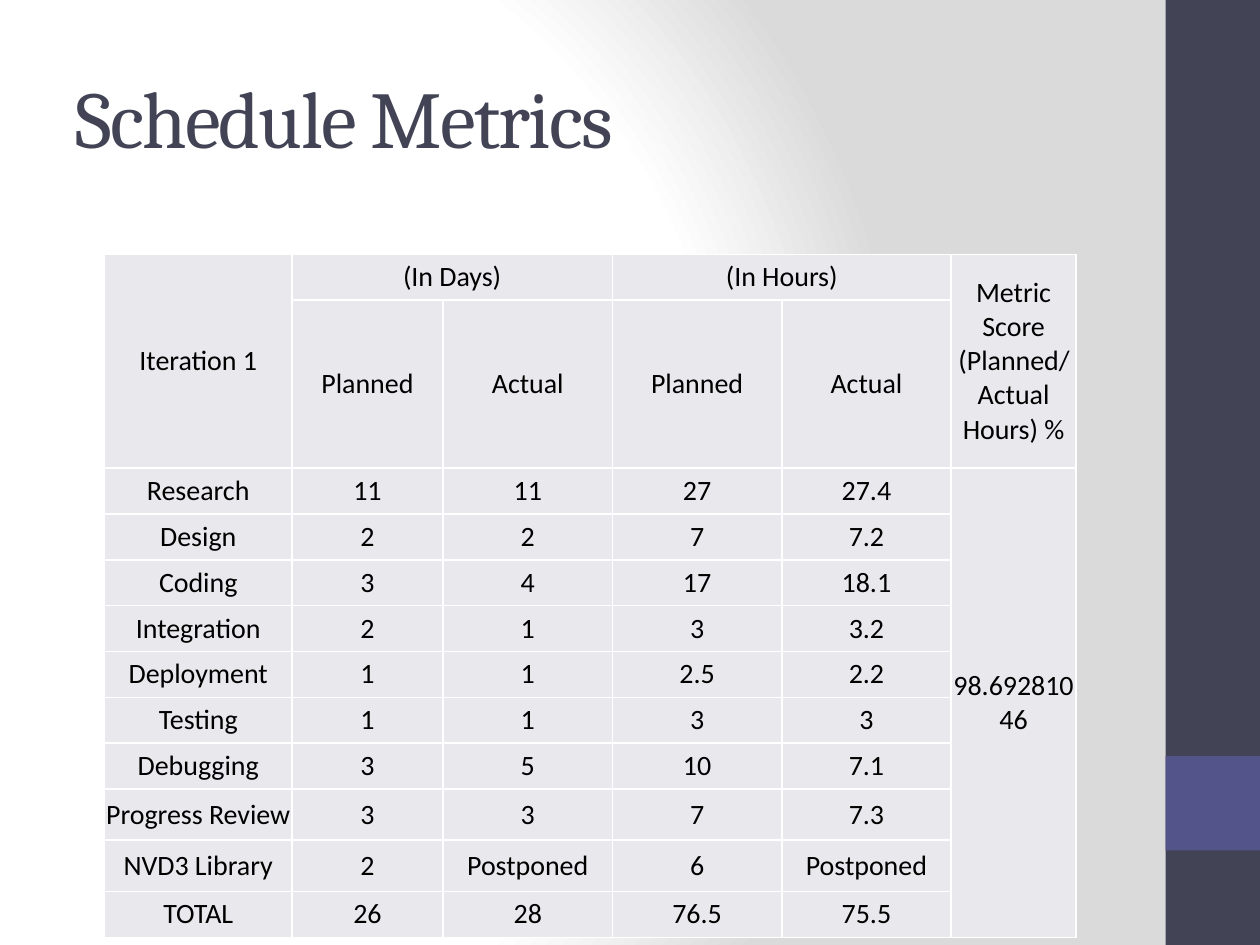
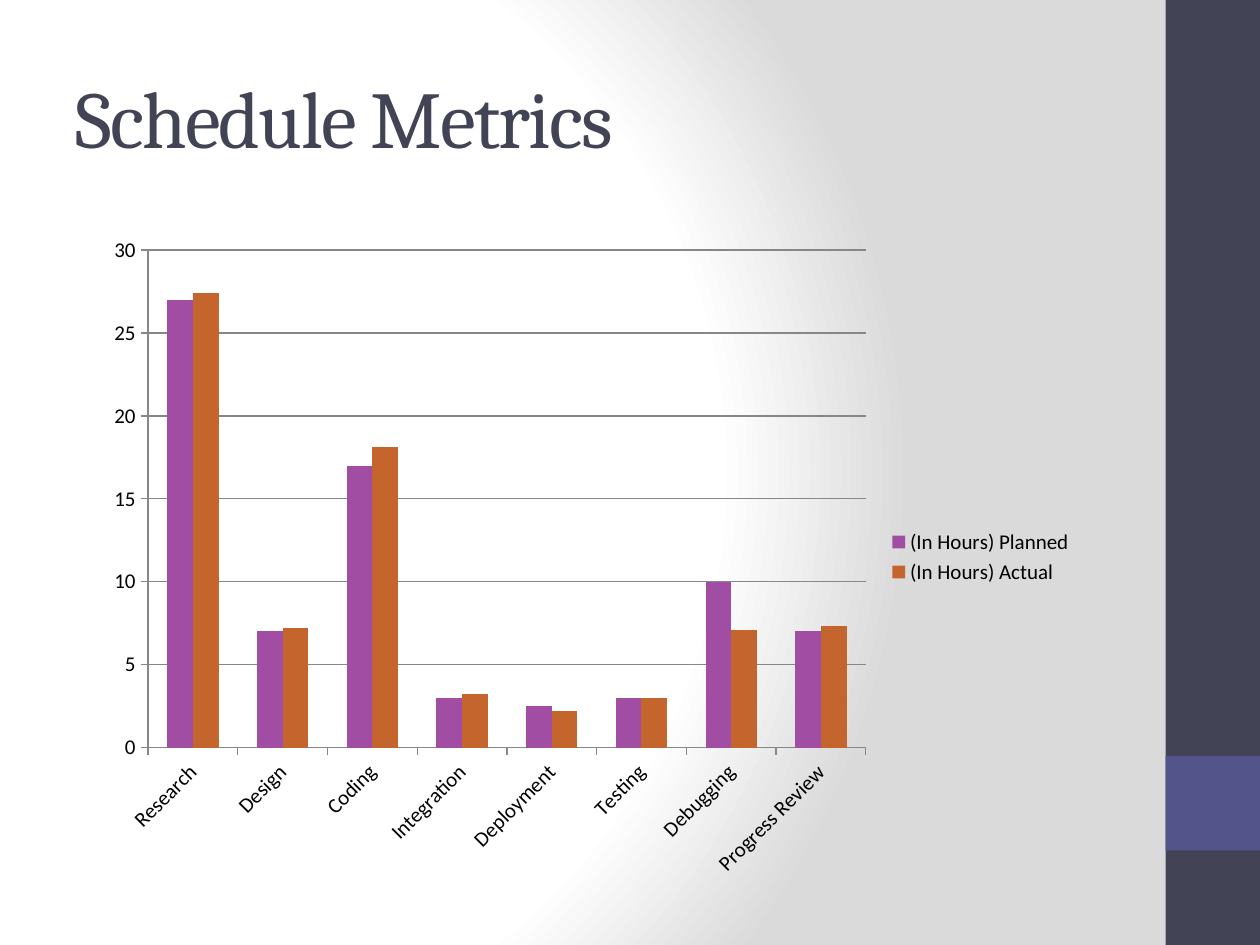
from dataclasses import dataclass

from lxml import etree
from pptx import Presentation
from pptx.chart import data as chart_data
from pptx.dml.color import RGBColor
from pptx.enum import chart as chart_enum, shapes, text
from pptx.oxml import ns
from pptx.util import Pt

COLOURS = {
    "band": "424456", "accent": "53548A", "cell": "E9E9ED", "text": "000000",
    "white": "FFFFFF", "grey": "DADADA", "axis": "878787",
    "planned": "A04DA3", "actual": "C4652D",
}
HEADING_FONT, BODY_FONT = "Cambria", "Calibri"
BACKGROUND_STOPS = ((0, "white"), (75, "white"), (100, "grey"))
FOCUS = {"l": 20, "t": 50, "r": 100, "b": 50}


@dataclass(frozen=True)
class Band:
    top: float
    height: float
    colour: str


@dataclass(frozen=True)
class Task:
    name: str
    planned_days: str
    actual_days: str
    planned_hours: str
    actual_hours: str


@dataclass(frozen=True)
class HeaderCell:
    row: int
    column: int
    label: str
    last_row: int
    last_column: int


BANDS = (Band(0, 540, "band"), Band(432, 54, "accent"))
TASKS = (
    Task("Research", "11", "11", "27", "27.4"),
    Task("Design", "2", "2", "7", "7.2"),
    Task("Coding", "3", "4", "17", "18.1"),
    Task("Integration", "2", "1", "3", "3.2"),
    Task("Deployment", "1", "1", "2.5", "2.2"),
    Task("Testing", "1", "1", "3", "3"),
    Task("Debugging", "3", "5", "10", "7.1"),
    Task("Progress Review", "3", "3", "7", "7.3"),
)
CLOSING_ROWS = (
    Task("NVD3 Library", "2", "Postponed", "6", "Postponed"),
    Task("TOTAL", "26", "28", "76.5", "75.5"),
)
MERGED_CELLS = (
    HeaderCell(0, 0, "Iteration 1", 1, 0),
    HeaderCell(0, 1, "(In Days)", 0, 2),
    HeaderCell(0, 3, "(In Hours)", 0, 4),
    HeaderCell(0, 5, "Metric Score (Planned/Actual Hours) %", 1, 5),
    HeaderCell(2, 5, "98.69281046", 11, 5),
)
COLUMN_WIDTHS = (107, 86.4, 96.8, 96.8, 96.8, 71.4)
ROW_HEIGHTS = (26.2, 68.4, *[26.2] * len(TASKS), 29.3, 29.3, 26.2)[:9] + (29.3, 29.3, 26.2)


def rgb(name: str) -> RGBColor:
    return RGBColor.from_string(COLOURS[name])


def add_fill(parent, name: str) -> None:
    fill = etree.SubElement(parent, ns.qn("a:solidFill"))
    etree.SubElement(fill, ns.qn("a:srgbClr"), val=COLOURS[name])


def add_span(para, words: str, font_name: str, size: float, colour: str):
    span = para.add_run()
    span.text = words
    span.font.name = font_name
    span.font.size = Pt(size)
    span.font.color.rgb = rgb(colour)
    return span


def paint_background(page) -> None:
    fill = page.background.fill
    fill.gradient()
    gradient = page.background._cSld.find(".//" + ns.qn("a:gradFill"))
    for child in list(gradient):
        gradient.remove(child)
    stops = etree.SubElement(gradient, ns.qn("a:gsLst"))
    for position, name in BACKGROUND_STOPS:
        stop = etree.SubElement(stops, ns.qn("a:gs"), pos=str(position * 1000))
        etree.SubElement(stop, ns.qn("a:srgbClr"), val=COLOURS[name])
    circle = etree.SubElement(gradient, ns.qn("a:path"), path="circle")
    edges = {side: str(share * 1000) for side, share in FOCUS.items()}
    etree.SubElement(circle, ns.qn("a:fillToRect"), **edges)


def add_band(page, band: Band) -> None:
    box = page.shapes.add_shape(
        shapes.MSO_SHAPE.RECTANGLE, Pt(666), Pt(band.top), Pt(54), Pt(band.height))
    box.shadow.inherit = False
    box.fill.solid()
    box.fill.fore_color.rgb = rgb(band.colour)
    box.line.fill.background()


def add_title(page, words: str) -> None:
    box = page.shapes.add_textbox(Pt(36), Pt(21.6), Pt(600), Pt(90))
    frame = box.text_frame
    frame.word_wrap = True
    frame.vertical_anchor = text.MSO_ANCHOR.MIDDLE
    span = add_span(frame.paragraphs[0], words, HEADING_FONT, 46, "band")
    span.font._element.set("spc", "-100")


def add_page(deck, title: str):
    page = deck.slides.add_slide(deck.slide_layouts[6])
    paint_background(page)
    for band in BANDS:
        add_band(page, band)
    add_title(page, title)
    return page


def style_cell(cell) -> None:
    cell.margin_left = cell.margin_right = cell.margin_top = cell.margin_bottom = 0
    cell.vertical_anchor = text.MSO_ANCHOR.MIDDLE
    properties = cell._tc.get_or_add_tcPr()
    for side in ("L", "R", "T", "B"):
        border = etree.SubElement(properties, ns.qn(f"a:ln{side}"), w=str(Pt(1)))
        add_fill(border, "white")
    add_fill(properties, "cell")


def write_cell(cell, words: str) -> None:
    para = cell.text_frame.paragraphs[0]
    para.alignment = text.PP_ALIGN.CENTER
    add_span(para, words, BODY_FONT, 16, "text")


def add_schedule_table(page) -> None:
    frame = page.shapes.add_table(
        len(ROW_HEIGHTS), len(COLUMN_WIDTHS), Pt(59.8), Pt(145.3),
        Pt(sum(COLUMN_WIDTHS)), Pt(sum(ROW_HEIGHTS)))
    table = frame.table
    table.first_row = False
    table.horz_banding = False
    for column, width in zip(table.columns, COLUMN_WIDTHS):
        column.width = Pt(width)
    for row, height in zip(table.rows, ROW_HEIGHTS):
        row.height = Pt(height)
    for cell in table.iter_cells():
        style_cell(cell)
    for header in MERGED_CELLS:
        cell = table.cell(header.row, header.column)
        cell.merge(table.cell(header.last_row, header.last_column))
        write_cell(cell, header.label)
    for column, label in enumerate(("Planned", "Actual") * 2, start=1):
        write_cell(table.cell(1, column), label)
    for row, task in enumerate(TASKS + CLOSING_ROWS, start=2):
        values = (task.name, task.planned_days, task.actual_days,
                  task.planned_hours, task.actual_hours)
        for column, value in enumerate(values):
            write_cell(table.cell(row, column), value)


def style_axis(axis) -> None:
    axis.major_tick_mark = chart_enum.XL_TICK_MARK.OUTSIDE
    axis.minor_tick_mark = chart_enum.XL_TICK_MARK.NONE
    axis.format.line.color.rgb = rgb("axis")
    axis.format.line.width = Pt(0.75)
    axis.tick_labels.font.size = Pt(12)


def add_hours_chart(page) -> None:
    hours = chart_data.CategoryChartData()
    hours.categories = [task.name for task in TASKS]
    hours.add_series("(In Hours) Planned", [float(task.planned_hours) for task in TASKS])
    hours.add_series("(In Hours) Actual", [float(task.actual_hours) for task in TASKS])
    chart = page.shapes.add_chart(
        chart_enum.XL_CHART_TYPE.COLUMN_CLUSTERED,
        Pt(54), Pt(128.2), Pt(566.6), Pt(380.2), hours).chart
    chart.has_title = False
    chart.font.name = BODY_FONT
    chart.font.size = Pt(12)
    chart.font.color.rgb = rgb("text")
    chart.has_legend = True
    chart.legend.position = chart_enum.XL_LEGEND_POSITION.RIGHT
    chart.legend.include_in_layout = False
    for axis in (chart.category_axis, chart.value_axis):
        style_axis(axis)
    labels = chart.category_axis._element.find(".//" + ns.qn("a:bodyPr"))
    labels.set("rot", "-2700000")
    value_axis = chart.value_axis
    value_axis.minimum_scale, value_axis.maximum_scale = 0, 30
    value_axis.major_unit = 5
    value_axis.has_major_gridlines = True
    value_axis.major_gridlines.format.line.color.rgb = rgb("axis")
    value_axis.major_gridlines.format.line.width = Pt(0.75)
    plot = chart.plots[0]
    plot.gap_width = 150
    plot.overlap = 0
    plot.vary_by_categories = False
    for series, name in zip(plot.series, ("planned", "actual")):
        series.format.fill.solid()
        series.format.fill.fore_color.rgb = rgb(name)


def main() -> None:
    deck = Presentation()
    deck.slide_width, deck.slide_height = Pt(720), Pt(540)
    for add_content in (add_schedule_table, add_hours_chart):
        add_content(add_page(deck, "Schedule Metrics"))
    deck.save("out.pptx")


if __name__ == "__main__":
    main()
